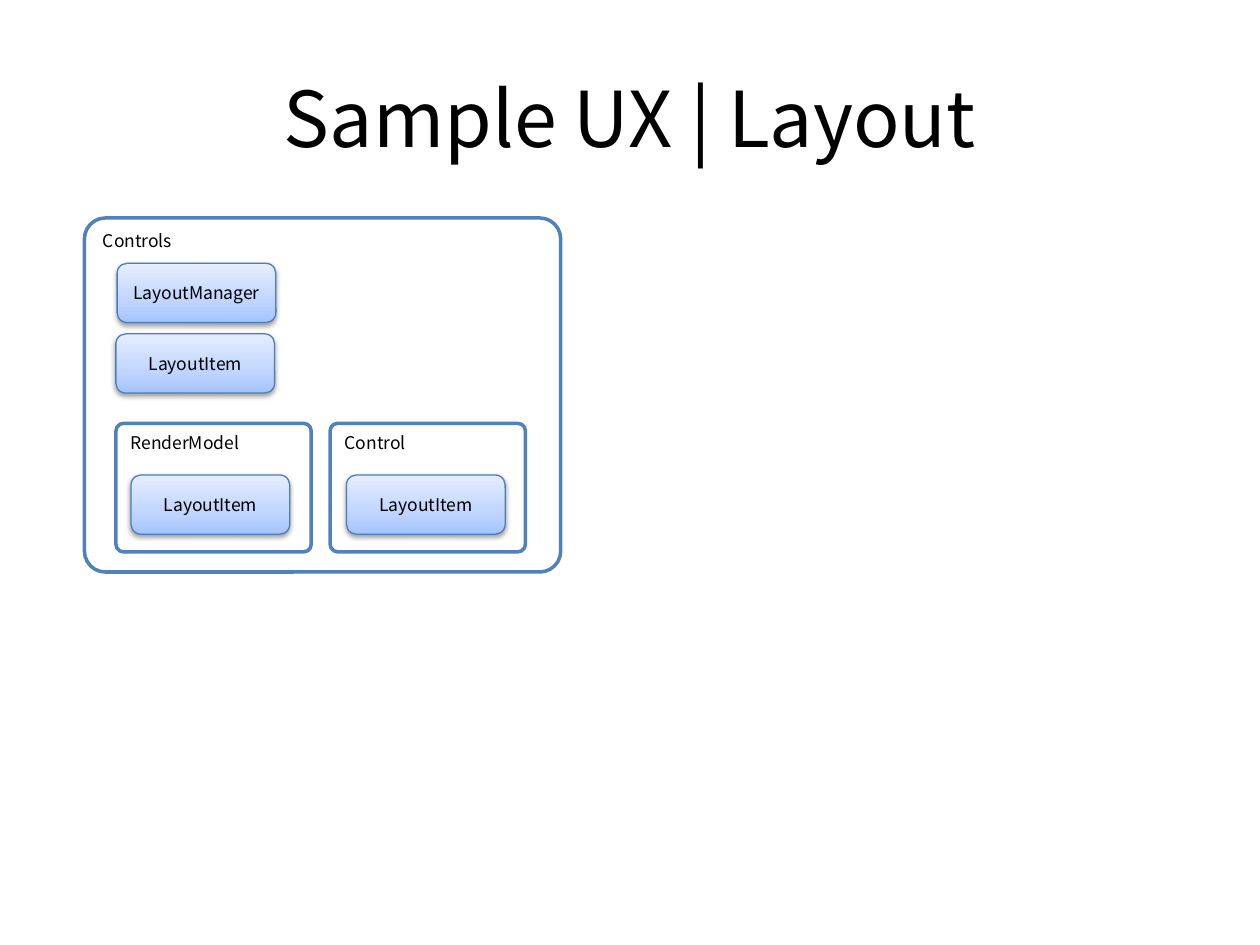
from copy import deepcopy
from lxml.etree import SubElement
from pptx import Presentation
from pptx.dml.color import RGBColor
from pptx.enum.shapes import MSO_SHAPE
from pptx.enum.text import MSO_ANCHOR, PP_ALIGN
from pptx.oxml.ns import qn
from pptx.util import Inches, Pt

# Content: text, left, top (frames also width, height)
TITLE = "Sample UX | Layout"
FRAMES = [
    ("Controls", 0.67, 1.73, 3.78, 2.81),
    ("RenderModel", 0.92, 3.36, 1.55, 1.02),
    ("Control", 2.62, 3.36, 1.55, 1.02),
]
ITEMS = [
    ("LayoutManager", 0.93, 2.09),
    ("LayoutItem", 0.92, 2.65),
    ("LayoutItem", 1.04, 3.77),
    ("LayoutItem", 2.75, 3.77),
]
ITEM_SIZE = (1.26, 0.47)

# Formats
FONT = "Noto Sans CJK KR"
HUES = {"text": "000000", "paper": "FFFFFF", "frame": "4F81BD",
        "edge": "4B7EBC", "shade": "000000"}
BLEND = [(0, "A4C4FF"), (0.35, "BFD4FF"), (1, "E6EEFF")]
MIDDLE = {"anchor": MSO_ANCHOR.MIDDLE, "align": PP_ALIGN.CENTER}
CORNER = {"anchor": MSO_ANCHOR.TOP, "align": PP_ALIGN.LEFT}


def hue(name):
    return RGBColor.from_string(HUES[name])


def write(shape, text, size, look):
    frame = shape.text_frame
    frame.word_wrap = True
    frame.vertical_anchor = look["anchor"]
    para = frame.paragraphs[0]
    para.alignment = look["align"]
    run = para.add_run()
    run.text = text
    for key, value in {"name": FONT, "size": Pt(size)}.items():
        setattr(run.font, key, value)
    run.font.color.rgb = hue("text")


def add_box(slide, text, box, line, width, look):
    shape = slide.shapes.add_shape(MSO_SHAPE.ROUNDED_RECTANGLE, *map(Inches, box))
    shape.shadow.inherit = False
    shape.line.color.rgb = hue(line)
    shape.line.width = Pt(width)
    write(shape, text, 10, look)
    return shape


def blend(shape):
    shape.fill.gradient()
    shape.fill.gradient_angle = 90
    last = shape.element.spPr.find(qn("a:gradFill")).find(qn("a:gsLst"))[-1]
    last.addnext(deepcopy(last))
    for stop, (place, code) in zip(shape.fill.gradient_stops, BLEND):
        stop.position = place
        stop.color.rgb = RGBColor.from_string(code)


def cast(shape):
    effects = shape.element.spPr.find(qn("a:effectLst"))
    outer = SubElement(effects, qn("a:outerShdw"), blurRad=str(Pt(3.1)),
                       dist=str(Pt(1.6)), dir="5400000", rotWithShape="0")
    color = SubElement(outer, qn("a:srgbClr"), val=HUES["shade"])
    SubElement(color, qn("a:alpha"), val="38000")


def main():
    deck = Presentation()
    deck.slide_width, deck.slide_height = Inches(10), Inches(7.5)
    slide = deck.slides.add_slide(deck.slide_layouts[6])

    # Title
    title = slide.shapes.add_textbox(*map(Inches, (0.5, 0.3, 9, 1.25)))
    write(title, TITLE, 44, MIDDLE)

    # Outlined frames
    for text, *box in FRAMES:
        frame = add_box(slide, text, box, "frame", 2, CORNER)
        frame.adjustments[0] = 0.059
        frame.fill.solid()
        frame.fill.fore_color.rgb = hue("paper")

    # Shaded items
    for text, *spot in ITEMS:
        item = add_box(slide, text, (*spot, *ITEM_SIZE), "edge", 0.75, MIDDLE)
        blend(item)
        cast(item)

    deck.save("out.pptx")


if __name__ == "__main__":
    main()
